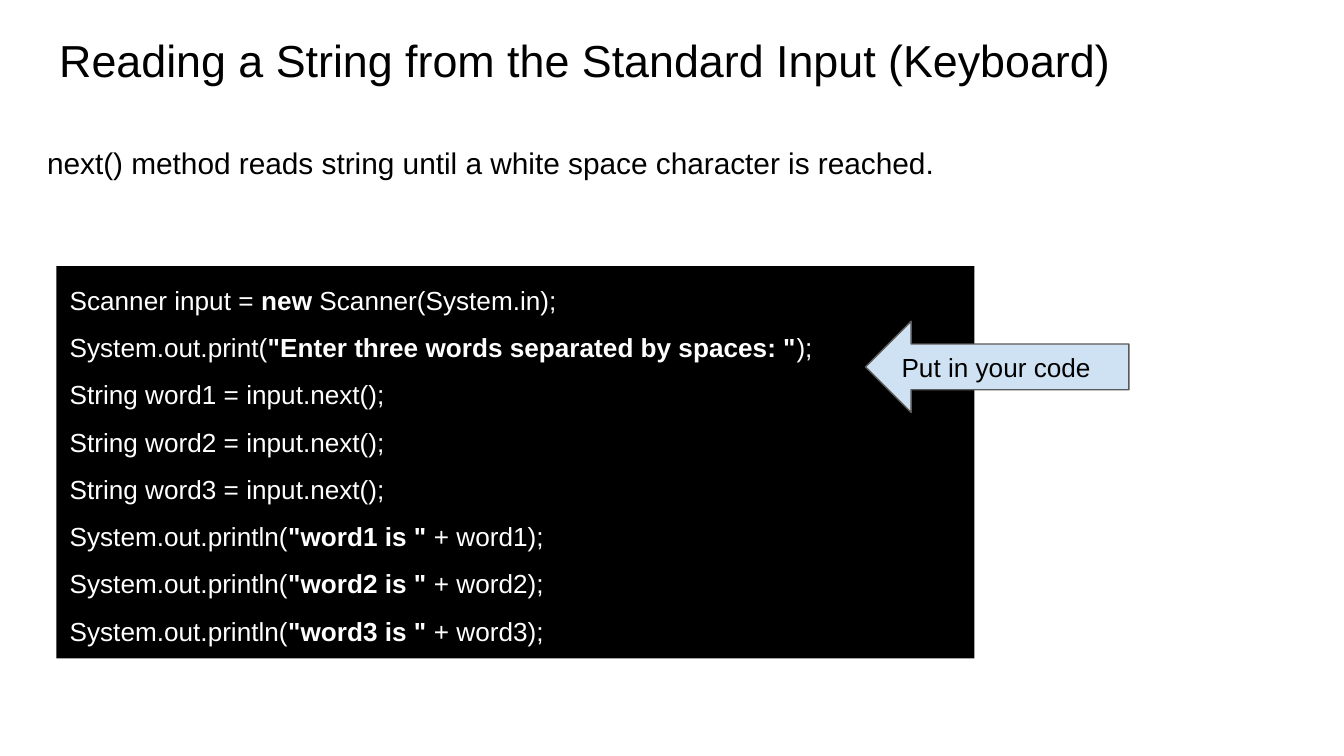
from dataclasses import dataclass

from pptx import Presentation
from pptx.dml.color import RGBColor
from pptx.enum.shapes import MSO_SHAPE as Shape
from pptx.enum.text import MSO_ANCHOR as Anchor, MSO_AUTO_SIZE as AutoSize, PP_ALIGN as Align
from pptx.oxml.ns import qn
from pptx.util import Inches, Pt

WIDTH = 10
HEIGHT = WIDTH * 9 / 16
INSET = 0.1
FONT = "Arial"
BLACK, WHITE, PALE_BLUE, GRAY = "000000", "FFFFFF", "CFE2F3", "595959"
BOLD_MARK = "**"

CODE = [
    "Scanner input = **new** Scanner(System.in);",
    'System.out.print(**"Enter three words separated by spaces: "**);',
    *(f"String word{n} = input.next();" for n in (1, 2, 3)),
    *(f'System.out.println(**"word{n} is " **+ word{n});' for n in (1, 2, 3)),
]


@dataclass(frozen=True)
class Area:
    """A rectangle given in inches."""
    left: float
    top: float
    width: float
    height: float


@dataclass(frozen=True)
class TextStyle:
    size: float
    color: str = BLACK
    line_spacing: float = 1.0
    before: float = 0
    after: float = 0
    anchor: Anchor = Anchor.TOP


def rgb(color: str) -> RGBColor:
    return RGBColor.from_string(color)


def place(item, area: Area) -> None:
    item.left, item.top = Inches(area.left), Inches(area.top)
    item.width, item.height = Inches(area.width), Inches(area.height)


def write(item, lines: list[str], style: TextStyle) -> None:
    """Fill an item with lines; text between bold marks is set bold."""
    frame = item.text_frame
    frame.word_wrap = True
    frame.auto_size = AutoSize.NONE
    frame.vertical_anchor = style.anchor
    frame.margin_left = frame.margin_right = Inches(INSET)
    frame.margin_top = frame.margin_bottom = Inches(INSET)
    frame.text = "\n".join(line.replace(BOLD_MARK, "") for line in lines)
    for index, (para, line) in enumerate(zip(frame.paragraphs, lines)):
        properties = para._p.get_or_add_pPr()
        properties.set("marL", "0")
        properties.set("indent", "0")
        properties.append(properties.makeelement(qn("a:buNone"), {}))
        para.alignment = Align.LEFT
        para.line_spacing = style.line_spacing
        para.space_before = Pt(style.before if index else 0)
        para.space_after = Pt(style.after)
        pieces = line.split(BOLD_MARK)
        para.runs[0].text = pieces[0]
        for piece in pieces[1:]:
            para.add_run().text = piece
        for number, span in enumerate(para.runs):
            span.font.name = FONT
            span.font.size = Pt(style.size)
            span.font.bold = number % 2 == 1
            span.font.color.rgb = rgb(style.color)


def add_panel(page, kind: Shape, area: Area, fill: str, line: str | None = None):
    panel = page.shapes.add_shape(kind, 0, 0, 0, 0)
    place(panel, area)
    panel.shadow.inherit = False
    panel.fill.solid()
    panel.fill.fore_color.rgb = rgb(fill)
    if line:
        panel.line.color.rgb = rgb(line)
        panel.line.width = Pt(0.75)
    else:
        panel.line.fill.background()
    return panel


def main() -> None:
    deck = Presentation()
    deck.slide_width, deck.slide_height = Inches(WIDTH), Inches(HEIGHT)
    page = deck.slides.add_slide(deck.slide_layouts[1])

    title, body = page.shapes.title, page.placeholders[1]
    place(title, Area(0.34, 0.14, 9.32, 0.63))
    write(title, ["Reading a String from the Standard Input (Keyboard)"], TextStyle(24))
    place(body, Area(0.25, 0.94, 9.32, 3.74))
    write(body, ["next() method reads string until a white space character is reached."],
          TextStyle(16, line_spacing=1.15, after=12))

    code = add_panel(page, Shape.RECTANGLE, Area(0.42, 1.98, 6.83, 2.92), BLACK)
    write(code, CODE, TextStyle(14, WHITE, line_spacing=1.15, before=6))
    arrow = add_panel(page, Shape.LEFT_ARROW, Area(6.44, 2.39, 1.96, 0.68), PALE_BLUE, GRAY)
    write(arrow, ["Put in your code"], TextStyle(14, anchor=Anchor.MIDDLE))

    deck.save("out.pptx")


if __name__ == "__main__":
    main()
